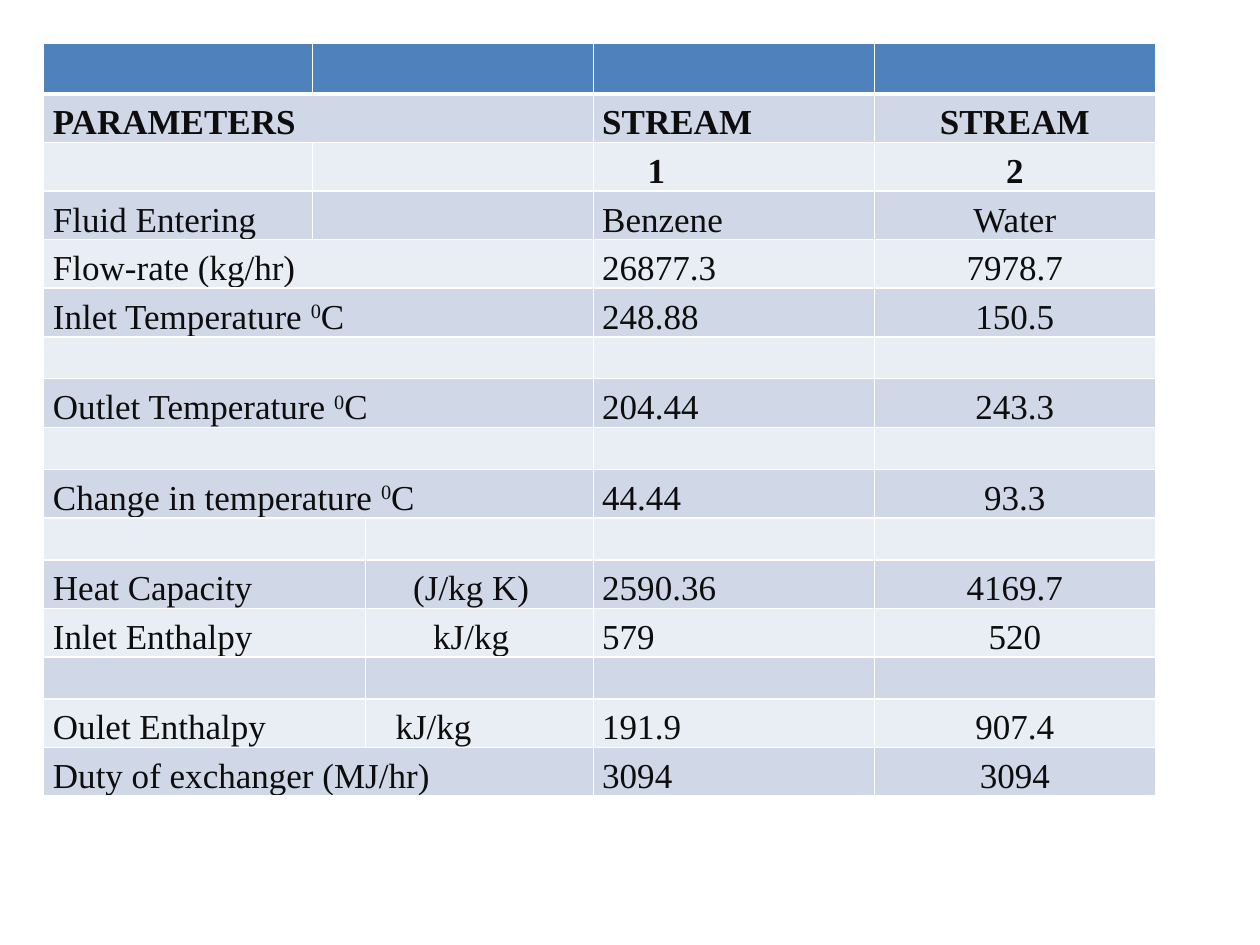
from lxml.etree import SubElement as Sub
from pptx import Presentation
from pptx.dml.color import RGBColor as RGB
from pptx.enum.text import MSO_ANCHOR as Anchor, PP_ALIGN as Align
from pptx.oxml.ns import qn
from pptx.util import Inches, Pt

HEAD = RGB(0x4F, 0x81, 0xBD)
BANDS = RGB(0xE9, 0xED, 0xF4), RGB(0xD0, 0xD8, 0xE8)
INK = RGB(0x0D, 0x0D, 0x0D)
WHITE = RGB(0xFF, 0xFF, 0xFF)
FONT = "Times New Roman"

WIDTHS = [2.14, 0.42, 1.81, 2.23, 2.23]
TOP, LOW, TALL = 0.29, 1 / 3, 4.24 / 11
FULL, EARLY, LATE = (0, 2), (1, 2), (0, 1)
ROWS = [
    (EARLY, "", "", "", ""),
    (FULL, "PARAMETERS", "", "STREAM", "STREAM"),
    (EARLY, "", "", "1", "2"),
    (EARLY, "Fluid Entering", "", "Benzene", "Water"),
    (FULL, "Flow-rate (kg/hr)", "", "26877.3", "7978.7"),
    (FULL, "Inlet Temperature ^0^C", "", "248.88", "150.5"),
    (FULL, "", "", "", ""),
    (FULL, "Outlet Temperature ^0^C", "", "204.44", "243.3"),
    (FULL, "", "", "", ""),
    (FULL, "Change in temperature ^0^C", "", "44.44", "93.3"),
    (LATE, "", "", "", ""),
    (LATE, "Heat Capacity", "(J/kg K)", "2590.36", "4169.7"),
    (LATE, "Inlet Enthalpy", "kJ/kg", "579", "520"),
    (LATE, "", "", "", ""),
    (LATE, "Oulet Enthalpy", "kJ/kg", "191.9", "907.4"),
    (FULL, "Duty of exchanger (MJ/hr)", "", "3094", "3094"),
]
BOLD = 1, 2
INDENTS = {0: 0.08, 3: 0.07}
SPECIAL = {(2, 3): 0.43, (14, 2): 0.24}


def edge(cell, row):
    props = cell._tc.get_or_add_tcPr()
    for side in "LRTB":
        thick = (row, side) in ((0, "B"), (1, "T"))
        line = Sub(props, qn(f"a:ln{side}"), w=str(Pt(3 if thick else 1)))
        fill = Sub(line, qn("a:solidFill"))
        Sub(fill, qn("a:srgbClr"), val=str(WHITE))


def write(cell, text, indent, bold):
    para = cell.text_frame.paragraphs[0]
    para.line_spacing = 1.15
    if indent is None:
        para.alignment = Align.CENTER
    else:
        para.alignment = Align.LEFT
        props = para._p.get_or_add_pPr()
        props.set("marL", str(Inches(indent)))
        props.set("indent", "0")
    for i, part in enumerate(text.split("^")):
        run = para.add_run()
        run.text = part
        font = run.font
        font.name, font.size, font.bold = FONT, Pt(20), bold
        font.color.rgb = INK
        if i % 2:
            font._element.set("baseline", "30000")


deck = Presentation()
deck.slide_width, deck.slide_height = Inches(10), Inches(7.5)
slide = deck.slides.add_slide(deck.slide_layouts[6])
frame = slide.shapes.add_table(len(ROWS), len(WIDTHS), Inches(0.34),
                               Inches(0.34), Inches(8.83), Inches(6.15))
table = frame.table
table.first_row = table.horz_banding = False
for col, width in zip(table.columns, WIDTHS):
    col.width = Inches(width)

for r, (span, name, unit, *streams) in enumerate(ROWS):
    filled = any(streams)
    table.rows[r].height = Inches(TALL if filled else LOW if r else TOP)
    for c in range(len(WIDTHS)):
        cell = table.cell(r, c)
        edge(cell, r)
        cell.fill.solid()
        cell.fill.fore_color.rgb = BANDS[r % 2] if r else HEAD
        if r:
            cell.margin_left = cell.margin_right = 0
            cell.margin_top = cell.margin_bottom = 0
            cell.vertical_anchor = Anchor.BOTTOM
    first, last = span
    table.cell(r, first).merge(table.cell(r, last))
    if unit:
        table.cell(r, 2).margin_right = Inches(0.13)
    for c, text in zip((0, 2, 3, 4), (name, unit, *streams)):
        if text:
            indent = SPECIAL.get((r, c), INDENTS.get(c))
            write(table.cell(r, c), text, indent, r in BOLD)

frame.height = Inches(6.15)
deck.save("out.pptx")
